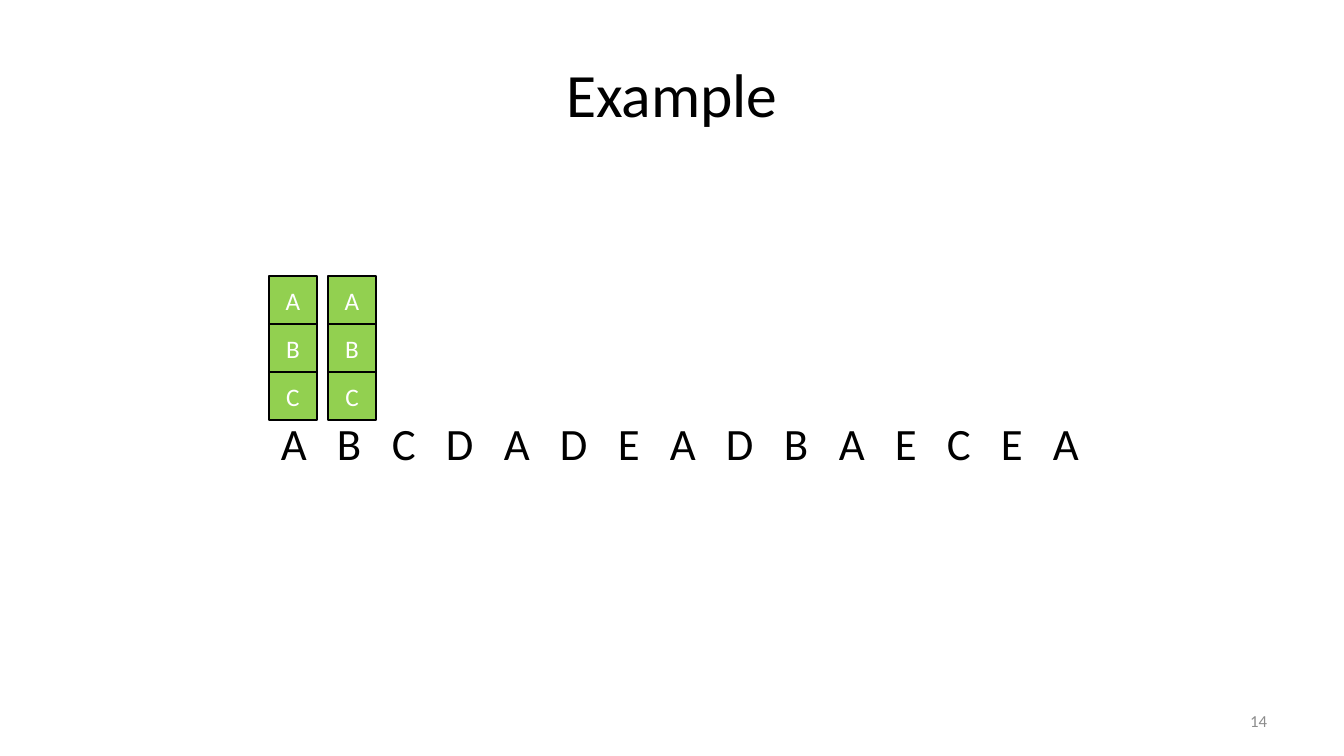
from itertools import accumulate

from lxml.etree import SubElement
from pptx import Presentation
from pptx.dml.color import RGBColor
from pptx.enum.shapes import MSO_SHAPE as Shape
from pptx.enum.text import MSO_ANCHOR as Anchor, PP_ALIGN as Align
from pptx.oxml.ns import qn
from pptx.util import Emu, Pt

SCALE = 914400 / 100.8
SEQUENCE = "ABCDADEADBAECEA"
# Advance of each letter plus its following gap, in px at 32 pt
ADVANCES = {"A": 56, "B": 55, "C": 54, "D": 58, "E": 52}
FRAMES = "ABC"
CELL = 48
STACK_LEFTS = (328, 269)


def px(length):
    return Emu(round(length * SCALE))


def color(hex_code):
    return RGBColor.from_string(hex_code)


def place(shape, box):
    for name, length in zip(("left", "top", "width", "height"), box):
        setattr(shape, name, px(length))


def write(shape, text, size, hex_code, align, anchor=Anchor.MIDDLE):
    """Fill the shape with one formatted line and return its paragraph."""
    frame = shape.text_frame
    frame.word_wrap = True
    frame.vertical_anchor = anchor
    para = frame.paragraphs[0]
    para.alignment = align
    span = para.add_run()
    span.text = text
    for name, value in {"name": "Calibri", "size": Pt(size)}.items():
        setattr(span.font, name, value)
    span.font.color.rgb = color(hex_code)
    return para


def add_title(page, box):
    place(page.shapes.title, box)
    write(page.shapes.title, "Example", 44, "000000", Align.CENTER)


def add_page_number(page, box):
    number = page.shapes.add_textbox(*map(px, box))
    write(number, "14", 12, "8C8C8C", Align.RIGHT)


def add_sequence(page, box):
    """Write the references in one line, each letter at its own tab stop."""
    line = page.shapes.add_textbox(*map(px, box))
    para = write(line, "\t".join(SEQUENCE), 32, "000000", Align.LEFT, Anchor.TOP)
    stops = SubElement(para._p.get_or_add_pPr(), qn("a:tabLst"))
    for position in accumulate(ADVANCES[letter] for letter in SEQUENCE[:-1]):
        SubElement(stops, qn("a:tab"), pos=str(px(position)), algn="l")


def add_stack(page, left, top):
    stack = page.shapes.add_group_shape()
    for row, letter in enumerate(FRAMES):
        box = (left, top + row * CELL, CELL, CELL)
        cell = stack.shapes.add_shape(Shape.RECTANGLE, *map(px, box))
        cell.shadow.inherit = False
        cell.fill.solid()
        cell.fill.fore_color.rgb = color("92D050")
        cell.line.color.rgb = color("000000")
        cell.line.width = Pt(2)
        write(cell, letter, 18, "FFFFFF", Align.CENTER)


def main():
    deck = Presentation()
    deck.slide_width, deck.slide_height = px(1344), px(756)
    page = deck.slides.add_slide(deck.slide_layouts[5])
    add_title(page, (67, 30, 1210, 126))
    add_page_number(page, (964, 701, 313, 40))
    add_sequence(page, (271, 411, 830, 64))
    for left in STACK_LEFTS:
        add_stack(page, left, 276)
    deck.save("out.pptx")


if __name__ == "__main__":
    main()
